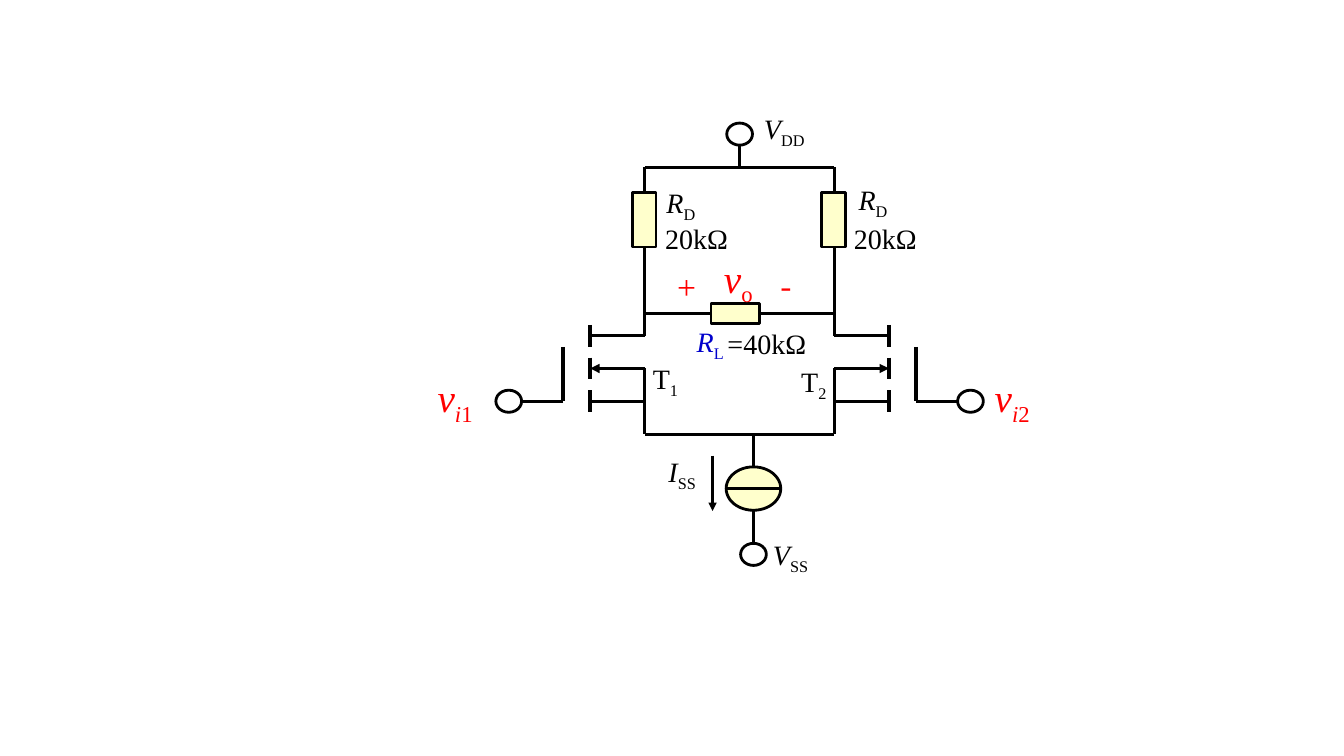
from dataclasses import dataclass

from lxml.etree import SubElement
from pptx import Presentation
from pptx.dml.color import RGBColor
from pptx.enum.shapes import MSO_CONNECTOR, MSO_SHAPE
from pptx.enum.text import MSO_AUTO_SIZE
from pptx.oxml.ns import qn
from pptx.util import Pt


@dataclass(frozen=True)
class Theme:
    ink: RGBColor = RGBColor(0, 0, 0)
    signal: RGBColor = RGBColor(255, 0, 0)
    load: RGBColor = RGBColor(0, 0, 204)
    component: RGBColor = RGBColor(255, 255, 204)
    font: str = "Times New Roman"
    sign_font: str = "Noto Sans CJK SC"
    label_size: float = 20
    sign_size: float = 24
    signal_size: float = 28
    wire: float = 2
    lead: float = 2.25
    plate: float = 3


THEME = Theme()
CENTER = 528.3
DRAIN_OFFSET = 67.7
CHANNEL_OFFSET = 106.7
GATE_OFFSET = 126
TERMINAL_OFFSET = 164.9
TERMINAL_SIZE = (18.4, 15.8)
TOP_RAIL, OUTPUT_RAIL, TAIL_RAIL = 119.4, 224, 310.2
DRAIN_Y, BODY_Y, SOURCE_Y = 239.8, 263.2, 286.6
TAIL_X = 538.2


def add_line(shapes, start, end, width=THEME.wire, arrow=None):
    points = [Pt(value) for value in (*start, *end)]
    connector = shapes.add_connector(MSO_CONNECTOR.STRAIGHT, *points)
    connector.line.color.rgb = THEME.ink
    connector.line.width = Pt(width)
    if arrow:
        SubElement(connector.line._get_or_add_ln(), qn(f"a:{arrow}"), type="triangle")
    SubElement(connector._element.spPr, qn("a:effectLst"))


def add_component(shapes, kind, center, size, fill=None):
    left, top = (middle - length / 2 for middle, length in zip(center, size))
    shape = shapes.add_shape(kind, Pt(left), Pt(top), Pt(size[0]), Pt(size[1]))
    shape.shadow.inherit = False
    shape.line.color.rgb = THEME.ink
    shape.line.width = Pt(THEME.wire)
    if fill is None:
        shape.fill.background()
    else:
        shape.fill.solid()
        shape.fill.fore_color.rgb = fill


def add_terminal(shapes, x, y):
    add_component(shapes, MSO_SHAPE.OVAL, (x, y), TERMINAL_SIZE)


def add_run(paragraph, text, size=THEME.label_size, color=THEME.ink,
            font=THEME.font, italic=False, subscript=False):
    run = paragraph.add_run()
    run.text = text
    run.font.name = font
    run.font.size = Pt(size)
    run.font.color.rgb = color
    run.font.italic = italic
    if subscript:
        run.font._element.set("baseline", "-25000")


def add_text_box(shapes, left, top, width, height):
    box = shapes.add_textbox(Pt(left), Pt(top), Pt(width), Pt(height))
    box.text_frame.word_wrap = True
    box.text_frame.auto_size = MSO_AUTO_SIZE.SHAPE_TO_FIT_TEXT
    return box.text_frame.paragraphs[0]


def add_symbol(shapes, left, top, width, letter, index, height=41,
               italic=True, index_prefix="", **style):
    paragraph = add_text_box(shapes, left, top, width, height)
    add_run(paragraph, letter, italic=italic, **style)
    if index_prefix:
        add_run(paragraph, index_prefix, italic=True, subscript=True, **style)
    add_run(paragraph, index, subscript=True, **style)


def add_text(shapes, left, top, width, height, text, **style):
    add_run(add_text_box(shapes, left, top, width, height), text, **style)


def add_branch(shapes, side):
    drain, channel, gate, terminal = (
        CENTER + side * offset
        for offset in (DRAIN_OFFSET, CHANNEL_OFFSET, GATE_OFFSET, TERMINAL_OFFSET))
    add_line(shapes, (drain, TOP_RAIL), (drain, DRAIN_Y))
    add_line(shapes, (drain, BODY_Y), (drain, TAIL_RAIL))
    add_line(shapes, (gate, SOURCE_Y), (terminal - side * TERMINAL_SIZE[0] / 2, SOURCE_Y))
    add_line(shapes, (gate, 247.7), (gate, SOURCE_Y), THEME.plate)
    for y in (DRAIN_Y, BODY_Y, SOURCE_Y):
        add_line(shapes, (channel, y - 7.8), (channel, y + 7.8), THEME.plate)
        add_line(shapes, (channel, y), (drain, y), THEME.lead,
                 arrow="headEnd" if y == BODY_Y else None)
    add_component(shapes, MSO_SHAPE.RECTANGLE, (drain - 0.5, 157), (17, 39), THEME.component)
    add_terminal(shapes, terminal, SOURCE_Y)


def add_supply_and_tail(shapes):
    left, right = CENTER - DRAIN_OFFSET, CENTER + DRAIN_OFFSET
    for y in (TOP_RAIL, OUTPUT_RAIL, TAIL_RAIL):
        add_line(shapes, (left, y), (right, y))
    add_line(shapes, (CENTER, 103.7), (CENTER, TOP_RAIL))
    add_line(shapes, (TAIL_X, TAIL_RAIL), (TAIL_X, 388))
    add_terminal(shapes, CENTER, 95.8)
    add_terminal(shapes, TAIL_X, 396)
    add_component(shapes, MSO_SHAPE.OVAL, (TAIL_X, 349), (39, 31), THEME.component)
    add_line(shapes, (TAIL_X - 19.5, 349), (TAIL_X + 19.5, 349))
    add_line(shapes, (509, 325.5), (509, 365), arrow="tailEnd")
    add_component(shapes, MSO_SHAPE.RECTANGLE, (525.2, OUTPUT_RAIL), (34.6, 14.4),
                  THEME.component)


def add_labels(shapes):
    add_symbol(shapes, 538.6, 76.3, 87, "V", "DD")
    add_symbol(shapes, 545, 380.2, 87, "V", "SS")
    add_symbol(shapes, 470.4, 321.1, 78, "I", "SS")
    add_symbol(shapes, 469, 128.9, 97, "R", "D")
    add_symbol(shapes, 606.2, 126.7, 68, "R", "D")
    add_symbol(shapes, 459.2, 254.9, 58, "T", "1", italic=False)
    add_symbol(shapes, 565.2, 257, 68, "T", "2", italic=False)
    add_symbol(shapes, 490.6, 228.2, 42, "R", "L", height=31.7, color=THEME.load)
    signal = {"color": THEME.signal, "size": THEME.signal_size}
    add_symbol(shapes, 305.5, 263.2, 58, "v", "1", index_prefix="i", **signal)
    add_symbol(shapes, 703.4, 263.2, 68, "v", "2", index_prefix="i", **signal)
    add_symbol(shapes, 510, 177.8, 48, "v", "o", **signal)
    for left, top, value in ((468, 154.8, "20kΩ"), (602.8, 154.8, "20kΩ"),
                             (512.6, 229.7, "=40kΩ")):
        add_text(shapes, left, top, 77, 31.7, value)
    for left, sign, font in ((476.6, "+", THEME.font), (550.1, "-", THEME.sign_font)):
        add_text(shapes, left, 186.5, 34, 36, sign, font=font,
                 size=THEME.sign_size, color=THEME.signal)


def main():
    presentation = Presentation()
    presentation.slide_width, presentation.slide_height = Pt(960), Pt(540)
    slide = presentation.slides.add_slide(presentation.slide_layouts[6])
    for side in (-1, 1):
        add_branch(slide.shapes, side)
    add_supply_and_tail(slide.shapes)
    add_labels(slide.shapes)
    presentation.save("out.pptx")


if __name__ == "__main__":
    main()
